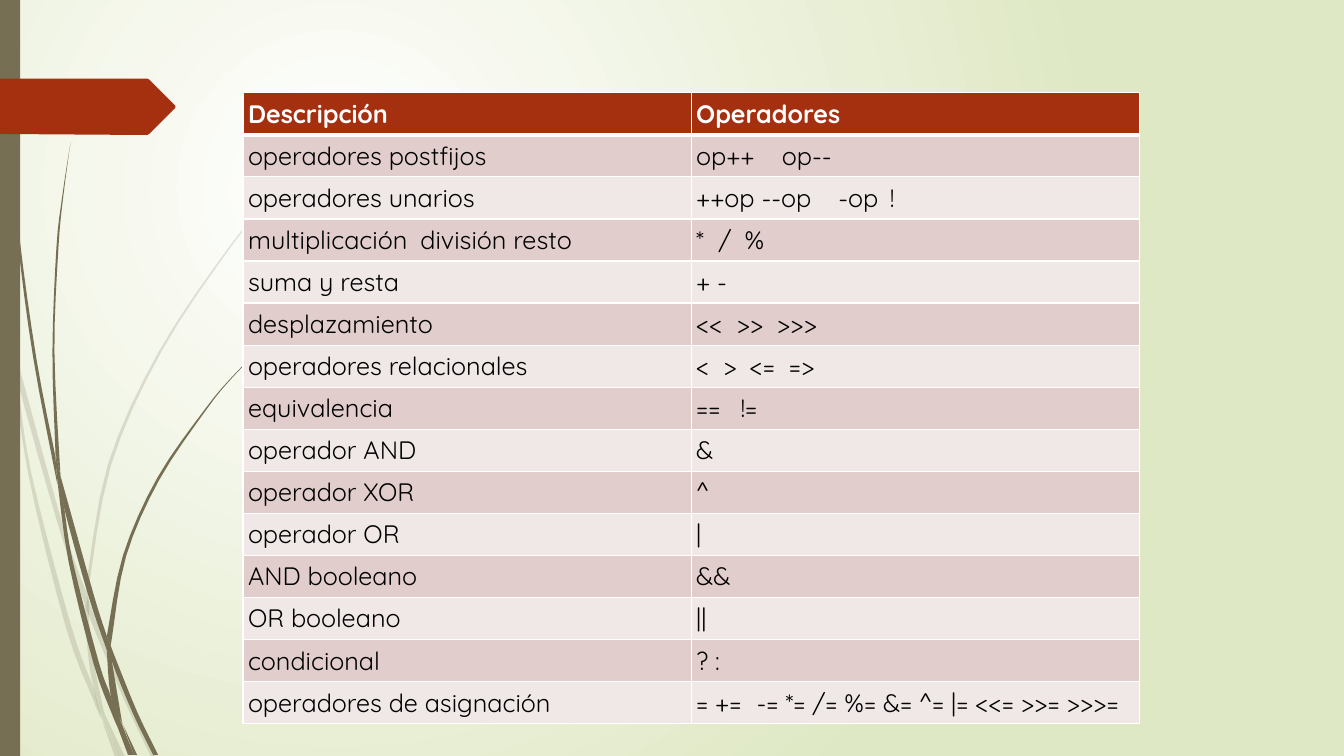
from dataclasses import dataclass

from lxml.etree import SubElement
from pptx import Presentation
from pptx.dml.color import RGBColor
from pptx.enum.text import MSO_ANCHOR
from pptx.oxml.ns import qn
from pptx.util import Inches, Pt


@dataclass(frozen=True)
class Theme:
    font: str = "Quicksand"
    size: int = 18
    accent: str = "A53010"
    stem: str = "766F54"
    light: str = "FFFFFF"
    text: str = "000000"
    glow: str = "DFE8C4"
    bands: tuple = ("E1CDCC", "F0E8E7")
    faint: int = 20


# Grass: each piece is a pair of edges, there and back
FAINT_GRASS = [
    ([(0.11, 3.5), (0.09, 3.22), (0, 2.82)], [(0, 2.99), (0.1, 3.44)]),
    ([(0.14, 3.45), (0.17, 3.76), (0.58, 5.22), (0.84, 5.99)],
     [(0.85, 5.86), (0.62, 5.2), (0.14, 3.45)]),
    ([(0.88, 5.96), (0.88, 6.1), (1.23, 6.94), (1.5, 7.51)],
     [(1.55, 7.51), (1.27, 6.92), (0.92, 6.07)]),
    ([(1.19, 7.51), (1.24, 7.51)], [(1.05, 7.11)]),
    ([(0.11, 3.5), (0.28, 4.7), (0.65, 6.21), (0.92, 6.93), (1.01, 7.14)],
     [(0.93, 6.83), (0.7, 6.19), (0.31, 4.69), (0.17, 3.76), (0.11, 3.5)]),
    ([(0.84, 5.99), (0.87, 6.46), (0.93, 6.83), (1.05, 7.11)],
     [(1.03, 7.06), (0.91, 6.46), (0.88, 6.08)]),
    ([(0.88, 5.96), (0.88, 5.84), (1.1, 4.62), (1.6, 3.49), (2.29, 2.45),
      (2.68, 1.98), (2.9, 1.75), (3.12, 1.54)],
     [(3.12, 1.53), (2.89, 1.75), (2.68, 1.97), (2.28, 2.44), (1.58, 3.48),
      (1.07, 4.61), (0.85, 5.84)]),
    ([(1.01, 7.14), (1.14, 7.51)], [(1.19, 7.51)]),
    ([(0.88, 6.1), (0.88, 5.96), (0.85, 5.86)], [(0.84, 5.99)]),
    ([(0.93, 6.83), (0.99, 7.07), (1.19, 7.51)], [(1.05, 7.11), (0.96, 6.92)]),
]
DARK_GRASS = [
    ([(0.03, 0), (0.07, 1.1), (0.17, 2.33), (0.33, 3.55), (0.57, 4.81)],
     [(0.55, 4.53), (0.36, 3.55), (0.19, 2.32), (0.08, 1.09), (0.04, 0)]),
    ([(0.6, 4.72), (0.64, 5.05), (0.88, 5.92), (1.06, 6.45)],
     [(1.06, 6.31), (0.93, 5.9), (0.6, 4.72)]),
    ([(1.1, 6.41), (1.11, 6.56), (1.32, 7.08), (1.52, 7.49)],
     [(1.57, 7.49), (1.36, 7.06), (1.13, 6.49)]),
    ([(0.57, 4.77), (0.68, 5.57), (0.93, 6.59), (1.11, 7.08), (1.17, 7.22)],
     [(1.16, 7.17), (1.1, 6.91), (0.98, 6.57), (0.72, 5.56), (0.64, 5.05)]),
    ([(0.6, 4.72), (0.54, 3.49), (0.58, 2.45), (0.63, 1.93), (0.7, 1.41)],
     [(0.7, 1.41), (0.62, 1.93), (0.56, 2.45), (0.52, 3.49), (0.55, 4.49)]),
    ([(1.33, 7.49), (1.36, 7.49)], [(1.22, 7.19)]),
    ([(0.55, 4.49), (0.57, 4.77), (0.64, 5.05)], [(0.6, 4.72)]),
    ([(1.1, 6.41), (1.11, 6.33), (1.25, 5.52), (1.58, 4.76), (2.05, 4.06),
      (2.31, 3.74), (2.61, 3.44)],
     [(2.6, 3.44), (2.31, 3.73), (2.04, 4.05), (1.56, 4.74), (1.22, 5.51),
      (1.06, 6.31)]),
    ([(1.17, 7.22), (1.27, 7.49)], [(1.31, 7.49)]),
    ([(1.06, 6.45), (1.1, 6.91), (1.22, 7.19)], [(1.21, 7.16), (1.11, 6.56)]),
    ([(1.06, 6.45), (1.11, 6.56), (1.1, 6.41)], [(1.06, 6.31)]),
    ([(1.1, 6.91), (1.17, 7.22), (1.3, 7.49)], [(1.33, 7.49), (1.16, 7.06)]),
]
RIBBON = [(0, 0.78), (1.46, 0.78), (1.48, 0.79), (1.74, 1.05), (1.74, 1.07),
          (1.48, 1.33), (1.46, 1.34), (0, 1.33)]

OPERATORS = [
    ("Descripción", "Operadores"),
    ("operadores postfijos", "op++\top--"),
    ("operadores unarios", "++op --op\t-op\t!"),
    ("multiplicación\tdivisión resto", "*\t/\t%"),
    ("suma y resta", "+ -"),
    ("desplazamiento", "<<\t>>\t>>>"),
    ("operadores relacionales", "<\t>\t<=\t=>"),
    ("equivalencia", "==\t!="),
    ("operador AND", "&"),
    ("operador XOR", "^"),
    ("operador OR", "|"),
    ("AND booleano", "&&"),
    ("OR booleano", "||"),
    ("condicional", "? :"),
    ("operadores de asignación", "= +=\t-= *= /= %= &= ^= |= <<= >>= >>>="),
]
# Tab stops in inches, by row and column
TAB_STOPS = {
    (1, 1): [0.85], (2, 1): [1.41, 1.92], (3, 0): [1.71],
    (3, 1): [0.22, 0.48], (5, 1): [0.4, 0.8], (6, 1): [0.27, 0.53, 0.92],
    (7, 1): [0.44], (14, 1): [0.6],
}


def smooth(edge, steps=4):
    """Catmull-Rom curve through the points of one edge."""
    ends = [edge[0], *edge, edge[-1]]
    curve = [edge[0]]
    for a, b, c, d in zip(ends, ends[1:], ends[2:], ends[3:]):
        for t in (step / steps for step in range(1, steps + 1)):
            curve.append(tuple(
                (2 * q + (r - p) * t + (2 * p - 5 * q + 4 * r - s) * t ** 2
                 + (3 * q - p - 3 * r + s) * t ** 3) / 2
                for p, q, r, s in zip(a, b, c, d)))
    return curve


class SlideBuilder:
    def __init__(self, slide, theme):
        self.slide = slide
        self.theme = theme

    def background(self):
        fill = self.slide.background.fill
        fill.gradient()
        for stop, color in zip(fill.gradient_stops, (self.theme.light, self.theme.glow)):
            stop.color.rgb = RGBColor.from_string(color)
        gradient = self.slide.element.xpath(".//p:bg//a:gradFill")[0]
        gradient.remove(gradient.find(qn("a:lin")))
        circle = SubElement(gradient, qn("a:path"), path="circle")
        SubElement(circle, qn("a:fillToRect"), l="50000", t="50000", r="100000", b="100000")

    def paint(self, shape, color, opacity=100):
        shape.shadow.inherit = False
        shape.line.fill.background()
        shape.fill.solid()
        shape.fill.fore_color.rgb = RGBColor.from_string(color)
        if opacity < 100:
            tint = shape.element.xpath("./p:spPr/a:solidFill/a:srgbClr")[0]
            SubElement(tint, qn("a:alpha"), val=str(opacity * 1000))

    def outline(self, points, color, opacity=100):
        corners = [(Inches(x), Inches(y)) for x, y in points]
        builder = self.slide.shapes.build_freeform(*corners[0])
        builder.add_line_segments(corners[1:], close=True)
        self.paint(builder.convert_to_shape(), color, opacity)

    def grass(self, pieces, opacity=100):
        for there, back in pieces:
            self.outline(smooth(there) + smooth(back), self.theme.stem, opacity)

    def bar(self, left, top, width, height):
        edge = self.slide.shapes.add_shape(
            1, Inches(left), Inches(top), Inches(width), Inches(height))
        self.paint(edge, self.theme.stem)

    def table(self, rows, tab_stops, left, top, width, height):
        grid = self.slide.shapes.add_table(
            len(rows), len(rows[0]), Inches(left), Inches(top),
            Inches(width), Inches(height)).table
        grid.horz_banding = False
        for r, row in enumerate(rows):
            for c, text in enumerate(row):
                self.cell(grid.cell(r, c), text, r, tab_stops.get((r, c), []))

    def cell(self, cell, text, row, stops):
        theme, header = self.theme, row == 0
        cell.margin_left = cell.margin_right = Inches(0.05)
        cell.margin_top = cell.margin_bottom = Inches(0.05)
        cell.vertical_anchor = MSO_ANCHOR.MIDDLE
        # Borders: heavier rule between the header and the first row
        widths = {"L": 1, "R": 1, "T": 3 if row == 1 else 1, "B": 3 if header else 1}
        for side, width in widths.items():
            line = SubElement(cell._tc.get_or_add_tcPr(), qn(f"a:ln{side}"), w=str(Pt(width)))
            SubElement(SubElement(line, qn("a:solidFill")), qn("a:srgbClr"), val=theme.light)
        cell.fill.solid()
        cell.fill.fore_color.rgb = RGBColor.from_string(
            theme.accent if header else theme.bands[(row - 1) % 2])
        # Text and tab stops
        paragraph = cell.text_frame.paragraphs[0]
        paragraph.text = text
        if stops:
            tabs = SubElement(paragraph._p.get_or_add_pPr(), qn("a:tabLst"))
            for stop in stops:
                SubElement(tabs, qn("a:tab"), pos=str(Inches(stop)), algn="l")
        for run in paragraph.runs:
            run.font.name = theme.font
            run.font.size = Pt(theme.size)
            run.font.bold = header
            run.font.color.rgb = RGBColor.from_string(theme.light if header else theme.text)


def main():
    deck = Presentation()
    deck.slide_width, deck.slide_height = Inches(13.33), Inches(7.5)
    theme = Theme()
    page = SlideBuilder(deck.slides.add_slide(deck.slide_layouts[6]), theme)

    # Backdrop
    page.background()
    page.grass(FAINT_GRASS, theme.faint)
    page.grass(DARK_GRASS)
    page.bar(0, 0, 0.2, 7.5)
    page.outline(RIBBON, theme.accent)

    # Operator precedence
    page.table(OPERATORS, TAB_STOPS, 2.41, 0.92, 8.89, 6.26)
    deck.save("out.pptx")


if __name__ == "__main__":
    main()
